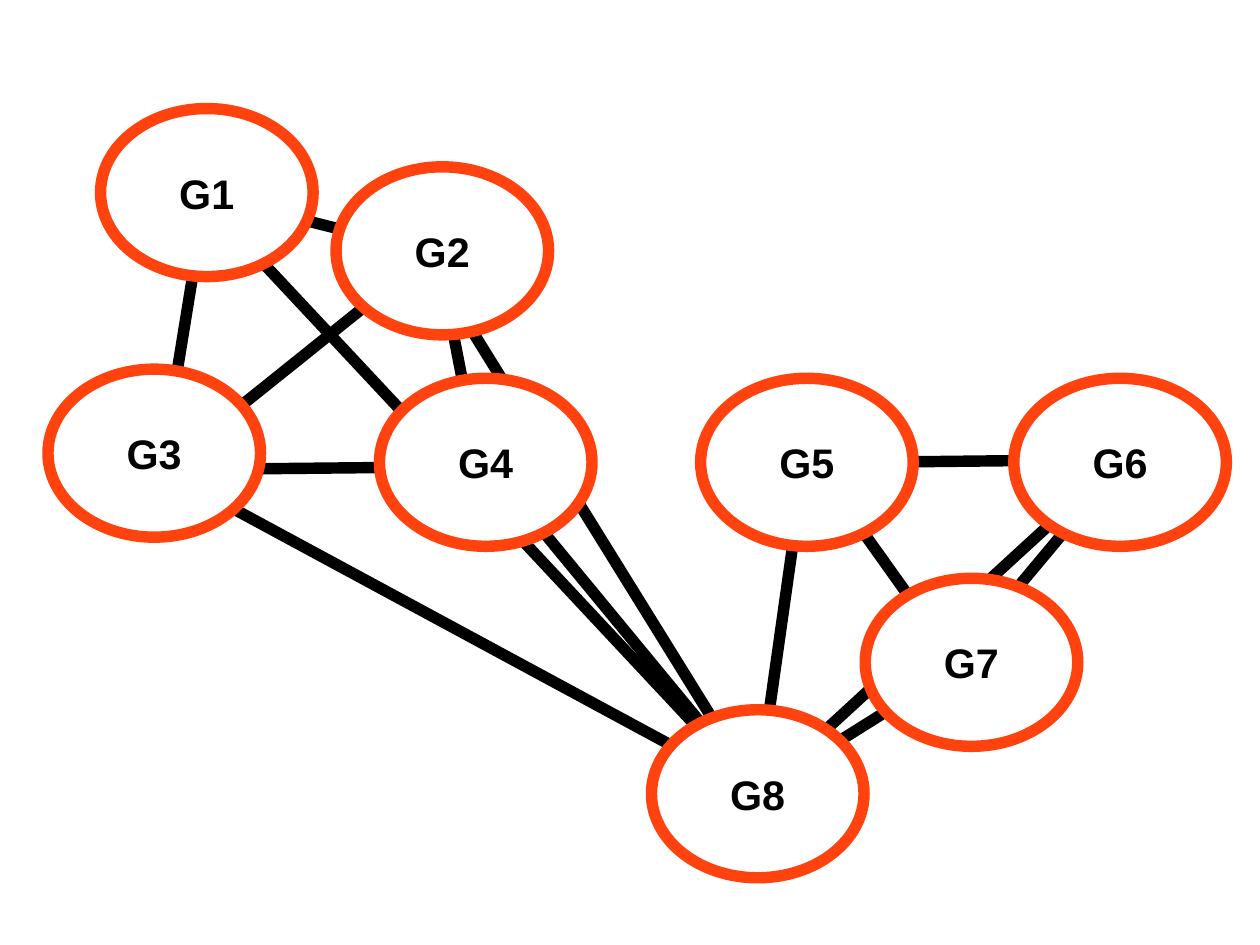
"""Draw a network of eight groups, two clusters of which meet at G8."""
from dataclasses import dataclass

from lxml.etree import SubElement
from pptx import Presentation
from pptx.dml.color import RGBColor
from pptx.enum.shapes import MSO_CONNECTOR, MSO_SHAPE
from pptx.enum.text import MSO_ANCHOR, PP_ALIGN
from pptx.oxml.ns import qn
from pptx.slide import Slide
from pptx.util import Cm, Inches, Pt

SLIDE_WIDTH, SLIDE_HEIGHT = Cm(28), Cm(21)
CELL = Inches(0.1)
NODE_COLUMNS, NODE_ROWS = 18.6, 14.7


@dataclass(frozen=True)
class Theme:
    """Colours, font and sizes of the network."""
    ink: RGBColor = RGBColor(0x00, 0x00, 0x00)
    ring: RGBColor = RGBColor(0xFF, 0x42, 0x0E)
    paper: RGBColor = RGBColor(0xFF, 0xFF, 0xFF)
    font: str = "Arial"
    label_size: Pt = Pt(26)
    line_width: Pt = Pt(7.2)


@dataclass(frozen=True)
class Point:
    """A place on the grid."""
    column: float
    row: float


@dataclass(frozen=True)
class Node:
    """A labelled group and the top left corner of its ellipse."""
    label: str
    corner: Point


@dataclass(frozen=True)
class Link:
    """A line between two places on the grid."""
    start: Point
    end: Point


THEME = Theme()

NODES = [
    Node("G3", Point(4.2, 32.3)),
    Node("G4", Point(33.2, 33.1)),
    Node("G5", Point(61.3, 33.1)),
    Node("G6", Point(88.7, 33.1)),
    Node("G1", Point(8.8, 9.5)),
    Node("G2", Point(29.4, 14.6)),
    Node("G7", Point(75.7, 50.6)),
    Node("G8", Point(57, 62.1)),
]

G1 = Point(18, 17.1)
G2 = Point(38.3, 22.2)
G3 = Point(14.1, 41.1)
G6 = Point(98.4, 40.2)
G7 = Point(83.6, 57.9)
G8 = Point(66.3, 69.3)

HUB_STARTS = [
    G3,
    Point(41.9, 39.7),
    Point(17.3, 16.9),
    Point(37, 22),
    Point(70.5, 39.6),
    Point(85.9, 57),
    Point(98.7, 39.6),
]

LINKS = [Link(start, G8) for start in HUB_STARTS] + [
    Link(G3, Point(43.7, 40.8)),
    Link(G3, Point(38.3, 21.7)),
    Link(G3, G1),
    Link(G2, G1),
    Link(G2, Point(41.8, 40.2)),
    Link(Point(70.7, 39.8), G7),
    Link(G6, G7),
    Link(G6, Point(70.7, 40.5)),
]


def grid(cells: float) -> int:
    """Turn a number of grid cells into a length."""
    return round(cells * CELL)


def draw_link(slide: Slide, link: Link) -> None:
    """Draw one thick line without a shadow."""
    connector = slide.shapes.add_connector(
        MSO_CONNECTOR.STRAIGHT,
        grid(link.start.column), grid(link.start.row),
        grid(link.end.column), grid(link.end.row),
    )
    connector.line.color.rgb = THEME.ink
    connector.line.width = THEME.line_width
    SubElement(connector._element.spPr, qn("a:effectLst"))


def draw_node(slide: Slide, node: Node) -> None:
    """Draw one ringed ellipse with its label in the middle."""
    shape = slide.shapes.add_shape(
        MSO_SHAPE.OVAL, grid(node.corner.column), grid(node.corner.row),
        grid(NODE_COLUMNS), grid(NODE_ROWS),
    )
    shape.shadow.inherit = False
    shape.fill.solid()
    shape.fill.fore_color.rgb = THEME.paper
    shape.line.color.rgb = THEME.ring
    shape.line.width = THEME.line_width

    text_frame = shape.text_frame
    text_frame.text = node.label
    text_frame.vertical_anchor = MSO_ANCHOR.MIDDLE
    text_frame.margin_left = text_frame.margin_right = grid(1.5)
    text_frame.margin_top = text_frame.margin_bottom = grid(1)
    paragraph = text_frame.paragraphs[0]
    paragraph.alignment = PP_ALIGN.CENTER
    font = paragraph.runs[0].font
    font.name = THEME.font
    font.size = THEME.label_size
    font.bold = True
    font.color.rgb = THEME.ink


def main() -> None:
    """Build the slide and save it."""
    presentation = Presentation()
    presentation.slide_width = SLIDE_WIDTH
    presentation.slide_height = SLIDE_HEIGHT
    slide = presentation.slides.add_slide(presentation.slide_layouts[6])
    slide.background.fill.solid()
    slide.background.fill.fore_color.rgb = THEME.paper
    for link in LINKS:
        draw_link(slide, link)
    for node in NODES:
        draw_node(slide, node)
    presentation.save("out.pptx")


if __name__ == "__main__":
    main()
